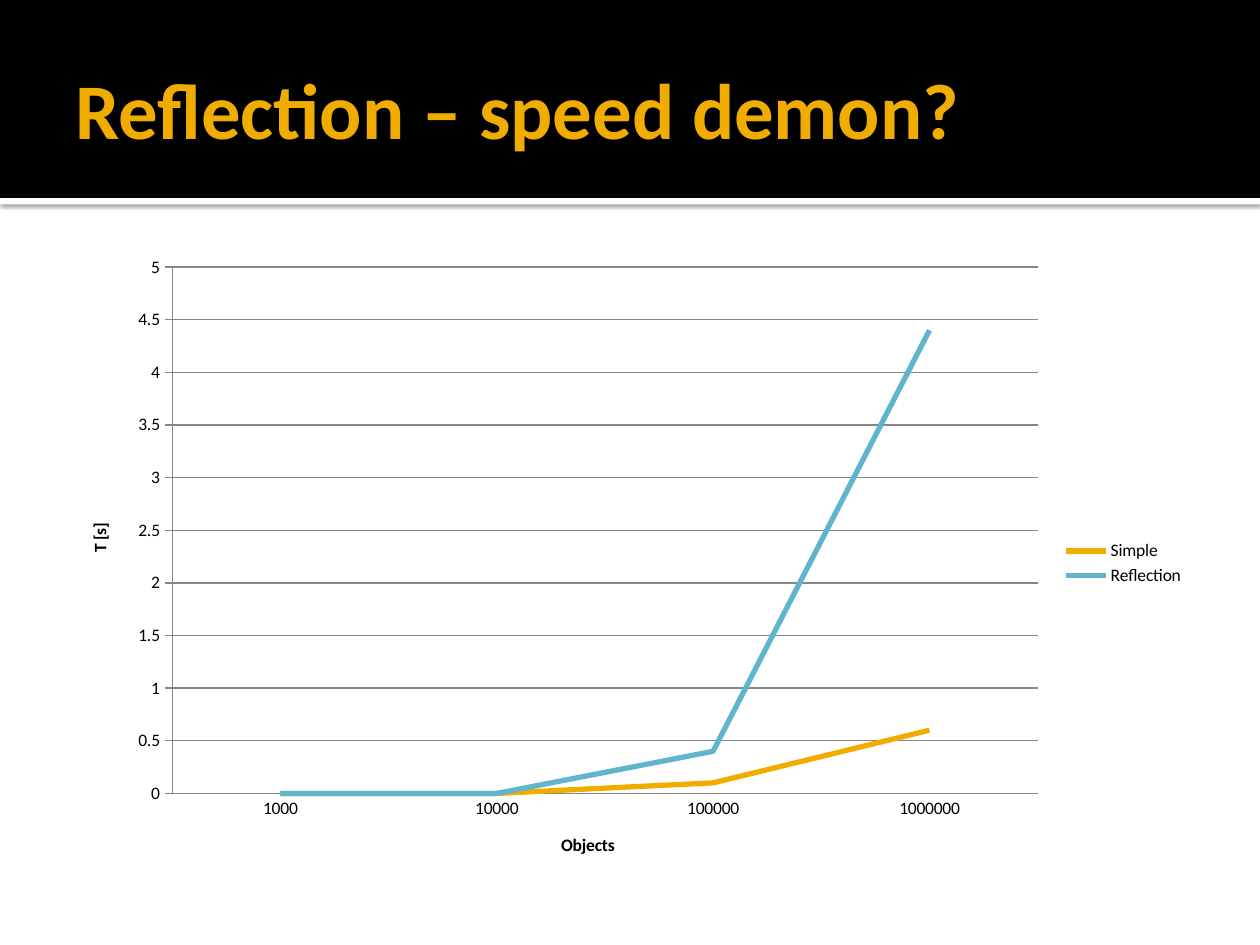
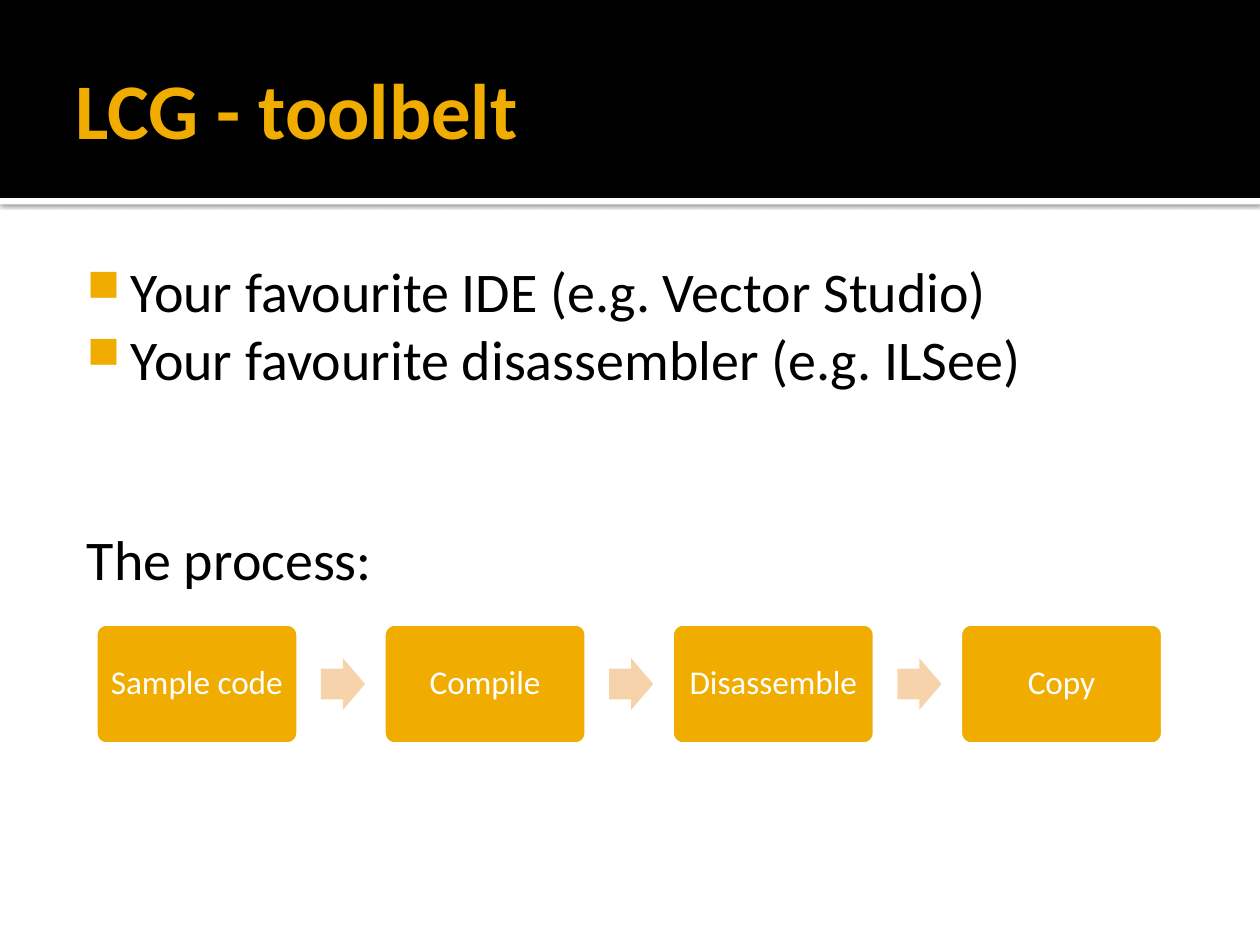
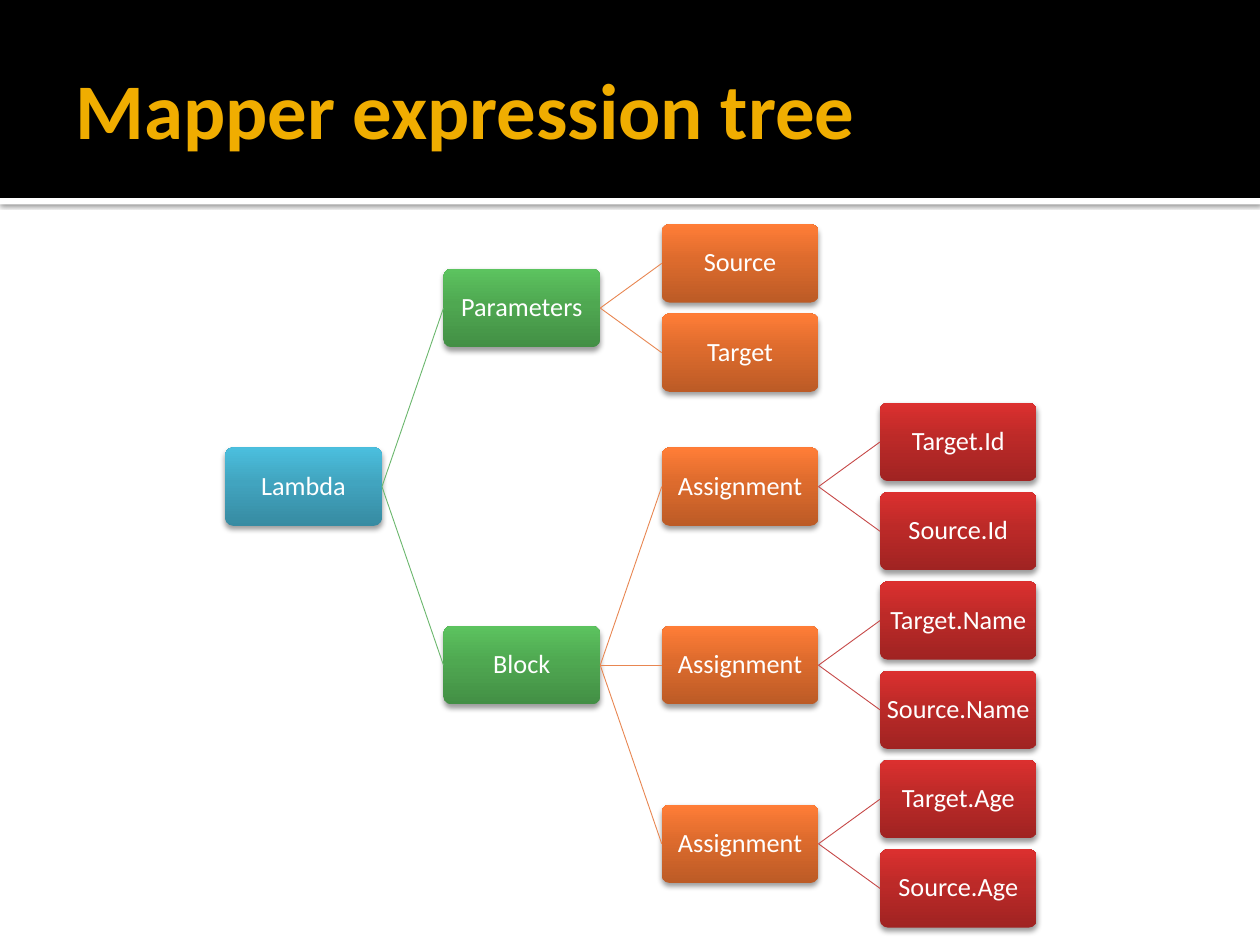
from lxml import etree
from pptx import Presentation
from pptx import util as u
from pptx.chart.data import CategoryChartData
from pptx.dml.color import RGBColor
from pptx.enum import chart as charts, shapes, text
from pptx.oxml.ns import qn

FONT = "Calibri"
AMBER, BLUE, PEACH, GREY = "F0AD00", "60B5CC", "F6D3AB", "868686"
BLACK, WHITE = "000000", "FFFFFF"
rgb = RGBColor.from_string


def write(paragraph, words, size=10, color=BLACK, bold=False, align=None, spacing=None):
    """Add a run of text to a paragraph in the given format."""
    run = paragraph.add_run()
    run.text = words
    run.font.name, run.font.size, run.font.bold = FONT, u.Pt(size), bold
    run.font.color.rgb = rgb(color)
    paragraph.alignment, paragraph.line_spacing = align, spacing


def add_box(slide, kind, place, fill=None, shadow=None, margins=(0, 0, 0, 0),
            anchor=text.MSO_ANCHOR.MIDDLE):
    """Add a shape, or a text box when kind is None; place and margins are in cm.

    fill is one colour or three gradient colours, from bottom to top;
    shadow is (opacity in percent, blur in points, distance in points).
    """
    place = [u.Cm(length) for length in place]
    if kind is None:
        shape = slide.shapes.add_textbox(*place)
    else:
        shape = slide.shapes.add_shape(kind, *place)
        shape.line.fill.background()
        shape.shadow.inherit = False
    if isinstance(fill, str):
        shape.fill.solid()
        shape.fill.fore_color.rgb = rgb(fill)
    elif fill:
        shape.fill.gradient()
        shape.fill.gradient_angle = 90
        stop_list = shape._element.spPr.find(".//" + qn("a:gsLst"))
        etree.SubElement(stop_list, qn("a:gs"), pos="100000")
        for stop, position, color in zip(shape.fill.gradient_stops, (0, 0.55, 1), fill):
            stop.position, stop.color.rgb = position, rgb(color)
    if shadow:
        opacity, blur, distance = shadow
        effects = shape._element.spPr.find(qn("a:effectLst"))
        outer = etree.SubElement(effects, qn("a:outerShdw"), blurRad=str(u.Pt(blur)),
                                 dist=str(u.Pt(distance)), dir="5400000", rotWithShape="0")
        shade = etree.SubElement(outer, qn("a:srgbClr"), val=BLACK)
        etree.SubElement(shade, qn("a:alpha"), val=str(opacity * 1000))
    frame = shape.text_frame
    frame.word_wrap, frame.vertical_anchor = True, anchor
    (frame.margin_left, frame.margin_top,
     frame.margin_right, frame.margin_bottom) = [u.Cm(margin) for margin in margins]
    return shape


presentation = Presentation()
presentation.slide_width, presentation.slide_height = u.Cm(25.4), u.Cm(19.05)

# Shared header: black band, white strip with a shadow, amber title
slides = []
for title in ("Reflection – speed demon?", "LCG - toolbelt", "Mapper expression tree"):
    slide = presentation.slides.add_slide(presentation.slide_layouts[6])
    add_box(slide, shapes.MSO_SHAPE.RECTANGLE, (0, 3.99, 25.4, 0.13), WHITE, (60, 2.5, 0.8))
    add_box(slide, shapes.MSO_SHAPE.RECTANGLE, (0, 0, 25.4, 3.99), BLACK)
    heading = add_box(slide, None, (1.27, 0.43, 22.86, 3.48),
                      margins=(0.25, 0.13, 0.13, 0.13))
    write(heading.text_frame.paragraphs[0], title, size=45, color=AMBER, bold=True)
    slides.append(slide)
chart_slide, process_slide, tree_slide = slides
CONTENT = (1.27, 4.93, 22.86, 12.85)

# Slide 1: line chart
data = CategoryChartData()
data.categories = ["1000", "10000", "100000", "1000000"]
data.add_series("Simple", (0, 0, 0.1, 0.6))
data.add_series("Reflection", (0, 0, 0.4, 4.4))
chart = chart_slide.shapes.add_chart(charts.XL_CHART_TYPE.LINE,
                                     *[u.Cm(length) for length in CONTENT], data).chart
chart.has_title = False
chart.font.name, chart.font.size, chart.font.color.rgb = FONT, u.Pt(10), rgb(BLACK)
chart.has_legend = True
chart.legend.position = charts.XL_LEGEND_POSITION.RIGHT
chart.legend.include_in_layout = False
for series, color in zip(chart.plots[0].series, (AMBER, BLUE)):
    series.smooth = False
    series.format.line.width = u.Pt(3)
    series.format.line.color.rgb = rgb(color)

objects_axis, time_axis = chart.category_axis, chart.value_axis
for axis, name in ((objects_axis, "Objects"), (time_axis, "T [s]")):
    write(axis.axis_title.text_frame.paragraphs[0], name, bold=True)
    axis.format.line.color.rgb = rgb(GREY)
time_axis.axis_title.text_frame._txBody.bodyPr.set("rot", "-5400000")
objects_axis.major_tick_mark = charts.XL_TICK_MARK.NONE
time_axis.major_tick_mark = charts.XL_TICK_MARK.OUTSIDE
time_axis.minimum_scale, time_axis.maximum_scale, time_axis.major_unit = 0, 5, 0.5
time_axis.has_major_gridlines = True
time_axis.major_gridlines.format.line.color.rgb = rgb(GREY)

# Slide 2: bullets and a row of steps
body = add_box(process_slide, None, CONTENT, margins=(0.15, 0.25, 0.25, 0.13),
               anchor=text.MSO_ANCHOR.TOP).text_frame
tools = ("Your favourite IDE (e.g. Vector Studio)", "Your favourite disassembler (e.g. ILSee)")
for number, tool in enumerate(tools):
    paragraph = body.add_paragraph() if number else body.paragraphs[0]
    write(paragraph, tool, size=32)
    properties = paragraph._p.get_or_add_pPr()
    properties.set("marL", str(u.Cm(1.22)))
    properties.set("indent", str(u.Cm(-0.89)))
    bullet_color = etree.SubElement(properties, qn("a:buClr"))
    etree.SubElement(bullet_color, qn("a:srgbClr"), val=AMBER)
    etree.SubElement(properties, qn("a:buSzPct"), val="80000")
    etree.SubElement(properties, qn("a:buChar"), char="■")
paragraph = body.add_paragraph()
write(paragraph, "The process:", size=32)
paragraph.space_before = u.Pt(76)
paragraph._p.get_or_add_pPr().set("marL", str(u.Cm(0.33)))

STEP_PITCH = 5.81
steps = ("Sample code", "Compile", "Disassemble", "Copy")
for number, step in enumerate(steps):
    left = 1.9 + number * STEP_PITCH
    box = add_box(process_slide, shapes.MSO_SHAPE.ROUNDED_RECTANGLE, (left, 12.55, 4.14, 2.48),
                  AMBER, margins=(0.25,) * 4)
    box.adjustments[0] = 0.1
    box.line.color.rgb, box.line.width = rgb(WHITE), u.Pt(3.78)
    write(box.text_frame.paragraphs[0], step, size=19, color=WHITE,
          align=text.PP_ALIGN.CENTER, spacing=0.9)
    if number < len(steps) - 1:
        arrow = add_box(process_slide, shapes.MSO_SHAPE.RIGHT_ARROW,
                        (left + 4.57, 13.27, 0.89, 1.04), PEACH)
        arrow.adjustments[0], arrow.adjustments[1] = 0.6, 0.5

# Slide 3: tree, each node with the index of its parent, depth first
nodes = [
    ("Lambda", None),
    ("Parameters", 0), ("Source", 1), ("Target", 1),
    ("Block", 0),
    ("Assignment", 4), ("Target.Id", 5), ("Source.Id", 5),
    ("Assignment", 4), ("Target.Name", 8), ("Source.Name", 8),
    ("Assignment", 4), ("Target.Age", 11), ("Source.Age", 11),
]
# For each level: gradient from bottom to top, and colour of the line to the parent
level_styles = [
    (("378BA2", "41A4BF", "4BBFDE"), None),
    (("438F45", "4FA851", "5CC35F"), "6BB76D"),
    (("BC5B26", "DD6B2D", "FF7D37"), "E88651"),
    (("A02322", "BC2A28", "DC302F"), "C64847"),
]
NODE_WIDTH, NODE_HEIGHT = 3.16, 1.58
LEVEL_PITCH, ROW_PITCH = 4.4, 1.8

# Leaves take the rows in turn; a parent sits midway among its children
parents = [parent for label, parent in nodes]
leaves = [index for index in range(len(nodes)) if index not in parents]
rows = {leaf: row for row, leaf in enumerate(leaves)}
for index in reversed(range(len(nodes))):
    children = [child for child, parent in enumerate(parents) if parent == index]
    if children:
        rows[index] = sum(rows[child] for child in children) / len(children)

levels, boxes = [], []
for index, (label, parent) in enumerate(nodes):
    level = 0 if parent is None else levels[parent] + 1
    gradient, line_color = level_styles[level]
    box = add_box(tree_slide, shapes.MSO_SHAPE.ROUNDED_RECTANGLE,
                  (4.54 + level * LEVEL_PITCH, 4.52 + rows[index] * ROW_PITCH,
                   NODE_WIDTH, NODE_HEIGHT),
                  gradient, (38, 3.1, 2), margins=(0.08,) * 4)
    box.adjustments[0] = 0.1
    write(box.text_frame.paragraphs[0], label, size=15, color=WHITE,
          align=text.PP_ALIGN.CENTER, spacing=0.9)
    levels.append(level)
    boxes.append(box)
    if parent is not None:
        branch = tree_slide.shapes.add_connector(shapes.MSO_CONNECTOR.STRAIGHT, 0, 0, 0, 0)
        branch.begin_connect(boxes[parent], 3)
        branch.end_connect(box, 1)
        branch.line.color.rgb, branch.line.width = rgb(line_color), u.Pt(0.5)
        etree.SubElement(branch._element.spPr, qn("a:effectLst"))

presentation.save("out.pptx")
